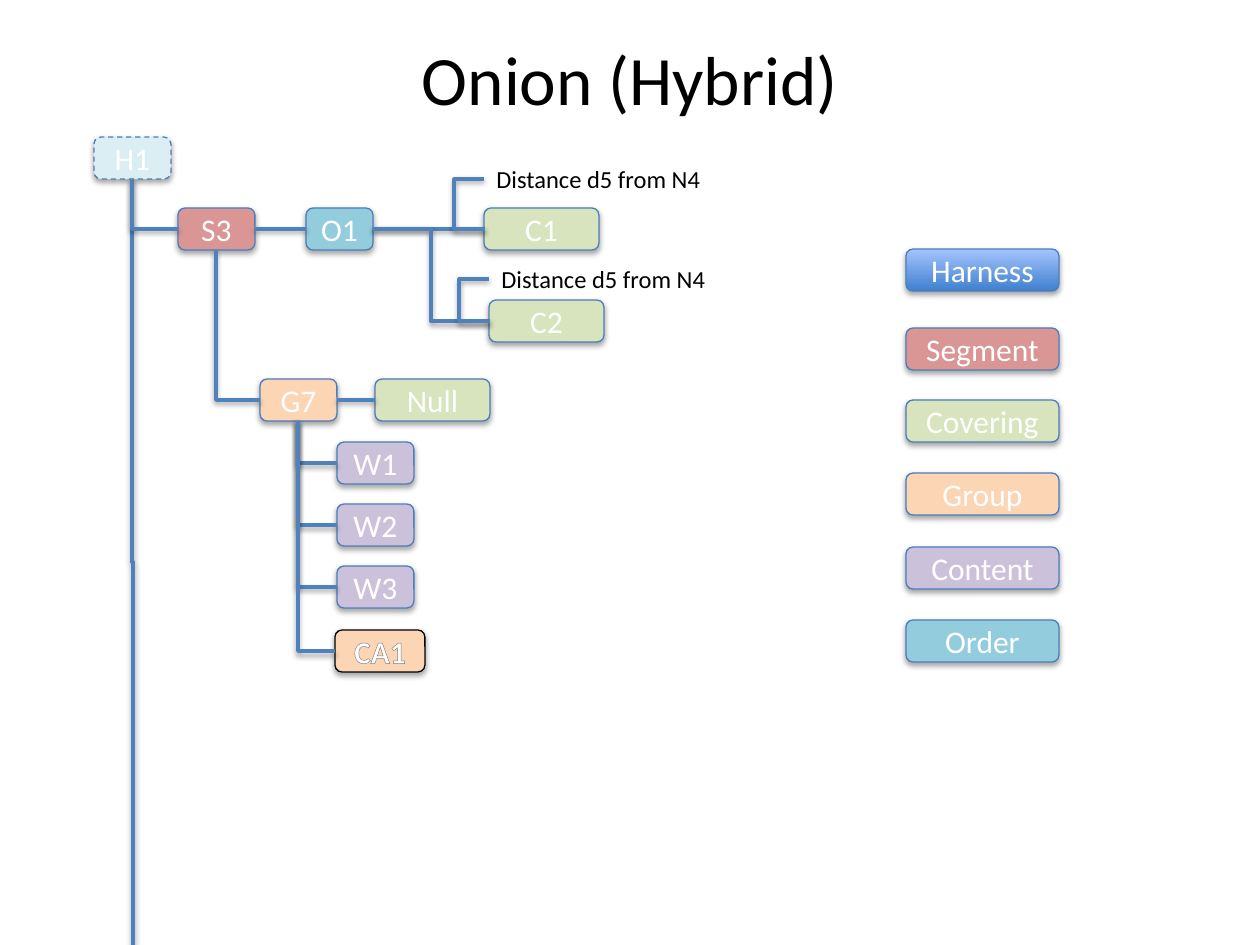
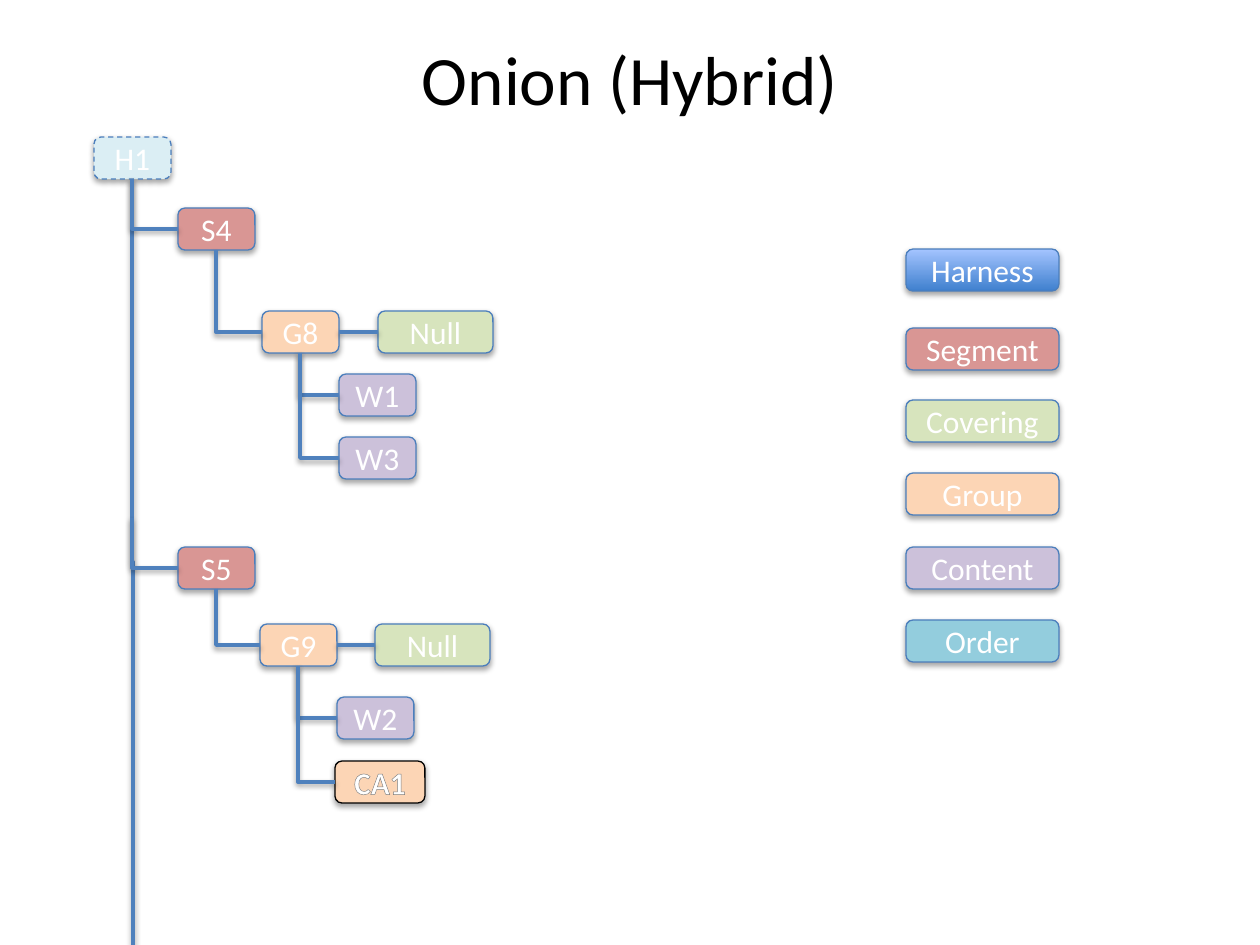
from lxml import etree
from pptx import Presentation, util as u
from pptx.dml.color import RGBColor
from pptx.enum import dml, shapes, text
from pptx.oxml.ns import qn

COLORS = {
    "black": "000000", "white": "FFFFFF", "outline": "4B7EBC", "connector": "4F81BD",
    "harness_low": "3F80CE", "harness_high": "A4C4FF", "root": "DBEEF4",
    "segment": "D99694", "covering": "D7E4BD", "group": "FCD5B5",
    "content": "CCC1DA", "order": "93CDDD", "cable": "FCD5B5",
    "glyph_edge": "7D7D7D", "glyph_shade": "7F7F7F",
}
FONT = "Calibri"
TITLE = "Onion (Hybrid)"

# label, kind, top
LEGEND = [
    ("Harness", "harness", 249), ("Segment", "segment", 328), ("Covering", "covering", 400),
    ("Group", "group", 473), ("Content", "content", 547), ("Order", "order", 620),
]
# label, kind, left, top, parent, route from the parent
SLIDES = [
    {
        "nodes": [
            ("H1", "root", 94, 137, None, None),
            ("S3", "segment", 178, 208, "H1", "trunk"),
            ("O1", "order", 306, 208, "S3", "across"),
            ("C1", "covering", 484, 208, "O1", "across"),
            ("C2", "covering", 489, 300, "O1", "across"),
            ("G7", "group", 260, 379, "S3", "down"),
            ("Null", "covering", 375, 379, "G7", "across"),
            ("W1", "content", 337, 442, "G7", "down"),
            ("W2", "content", 337, 504, "G7", "down"),
            ("W3", "content", 337, 566, "G7", "down"),
            ("CA1", "cable", 335, 630, "G7", "down"),
        ],
        # text, covering it belongs to, top
        "notes": [("Distance d5 from N4", "C1", 158), ("Distance d5 from N4", "C2", 258)],
    },
    {
        "nodes": [
            ("H1", "root", 94, 137, None, None),
            ("S4", "segment", 178, 208, "H1", "trunk"),
            ("G8", "group", 262, 311, "S4", "down"),
            ("Null", "covering", 378, 311, "G8", "across"),
            ("W1", "content", 339, 374, "G8", "down"),
            ("W3", "content", 339, 437, "G8", "down"),
            ("S5", "segment", 178, 547, "H1", "trunk"),
            ("G9", "group", 260, 624, "S5", "down"),
            ("Null", "covering", 375, 624, "G9", "across"),
            ("W2", "content", 337, 697, "G9", "down"),
            ("CA1", "cable", 335, 761, "G9", "down"),
        ],
        "notes": [],
    },
]

SLIDE_WIDTH, SLIDE_HEIGHT = 1260, 945
NODE_HEIGHT, NODE_WIDTH = 42, 77
SPECIAL_WIDTHS = {"covering": 115, "order": 67, "cable": 90}
LEGEND_LEFT, LEGEND_WIDTH = 906, 153
TRUNK_DROP = 29
NOTE_WIDTH, NOTE_HEIGHT, BRACKET_DEPTH = 229, 43, 30


def px(length):
    return u.Emu(round(length * 914400 / 126))


def rgb(name):
    return RGBColor.from_string(COLORS[name])


def add_xml(parent, tag, **attributes):
    return etree.SubElement(parent, qn(tag), {key: str(value) for key, value in attributes.items()})


def add_color(parent, name):
    return add_xml(parent, "a:srgbClr", val=COLORS[name])


def add_shadow(shape, distance, alpha):
    effects = add_xml(shape.element.spPr, "a:effectLst")
    shadow = add_xml(effects, "a:outerShdw", blurRad=40000, dist=distance, dir=5400000, rotWithShape=0)
    add_xml(add_color(shadow, "black"), "a:alpha", val=alpha)


def set_text(shape, words, size, color, align=text.PP_ALIGN.CENTER):
    paragraph = shape.text_frame.paragraphs[0]
    paragraph.text = words
    paragraph.alignment = align
    font = paragraph.font
    font.name, font.size, font.color.rgb = FONT, u.Pt(size), rgb(color)
    return paragraph


def emboss(run):
    """Give the run a grey outline and a shaded white fill."""
    run.font.bold = True
    properties = run.font._element
    line = add_xml(properties, "a:ln", w=10541)
    add_color(add_xml(line, "a:solidFill"), "glyph_edge")
    gradient = add_xml(properties, "a:gradFill")
    stops = add_xml(gradient, "a:gsLst")
    for position in (0, 9, 50, 79, 100):
        stop = add_xml(stops, "a:gs", pos=position * 1000)
        add_color(stop, "glyph_shade" if position == 50 else "white")
    add_xml(gradient, "a:lin", ang=5400000)


def add_box(slide, label, kind, left, top, width):
    shape = slide.shapes.add_shape(
        shapes.MSO_SHAPE.ROUNDED_RECTANGLE, px(left), px(top), px(width), px(NODE_HEIGHT))
    if kind == "harness":
        shape.fill.gradient()
        shape.fill.gradient_angle = 90
        for stop, color in zip(shape.fill.gradient_stops, ("harness_low", "harness_high")):
            stop.color.rgb = rgb(color)
    else:
        shape.fill.solid()
        shape.fill.fore_color.rgb = rgb(kind)
    shape.line.color.rgb = rgb("black" if kind == "cable" else "outline")
    shape.line.width = u.Pt(0.75)
    if kind == "root":
        shape.line.dash_style = dml.MSO_LINE.DASH
    add_shadow(shape, 23000, 35000)
    shape.text_frame.vertical_anchor = text.MSO_ANCHOR.MIDDLE
    paragraph = set_text(shape, label, 18, "white")
    if kind == "cable":
        emboss(paragraph.runs[0])


def add_elbow(slide, left, top, width, height):
    connector = slide.shapes.add_connector(
        shapes.MSO_CONNECTOR.ELBOW, px(left), px(top), px(left + width), px(top + height))
    connector.line.color.rgb = rgb("connector")
    connector.line.width = u.Pt(2)
    add_shadow(connector, 20000, 38000)
    return connector


def connect_down(slide, start, end, preset="bentConnector2"):
    """Leave start downwards: the elbow is mirrored and turned about its centre."""
    (x1, y1), (x2, y2) = start, end
    across, down = x2 - x1, y2 - y1
    connector = add_elbow(slide, (x1 + x2 - down) / 2, (y1 + y2 - across) / 2, down, across)
    properties = connector.element.spPr
    properties.xfrm.set("rot", "16200000")
    properties.xfrm.set("flipH", "1")
    properties.find(qn("a:prstGeom")).set("prst", preset)


def add_bracket(slide, left, top, bottom):
    """Loop out to the left from bottom and back in at top."""
    connector = add_elbow(slide, left, top, 1, bottom - top)
    properties = connector.element.spPr
    properties.xfrm.set("rot", "10800000")
    geometry = properties.find(qn("a:prstGeom"))
    for old in list(geometry):
        geometry.remove(old)
    guides = add_xml(geometry, "a:avLst")
    add_xml(guides, "a:gd", name="adj1", fmla=f"val {(BRACKET_DEPTH + 1) * 100000}")


def add_note(slide, words, left, top, covering_middle):
    box = slide.shapes.add_textbox(px(left), px(top), px(NOTE_WIDTH), px(NOTE_HEIGHT))
    box.text_frame.word_wrap = False
    set_text(box, words, 14, "black", text.PP_ALIGN.LEFT)
    add_bracket(slide, left, top + NOTE_HEIGHT // 2, covering_middle)


def add_tree(slide, nodes, notes):
    places = {}
    for label, kind, left, top, parent, route in nodes:
        width = SPECIAL_WIDTHS.get(kind, NODE_WIDTH)
        places[label] = (left, top, width)
        add_box(slide, label, kind, left, top, width)
        if parent is None:
            start = left + width // 2, top + NODE_HEIGHT
            connect_down(slide, start, (start[0] + 1, SLIDE_HEIGHT), "bentConnector3")
            continue
        parent_left, parent_top, parent_width = places[parent]
        middle = top + NODE_HEIGHT // 2
        if route == "across":
            x, y = parent_left + parent_width, parent_top + NODE_HEIGHT // 2
            add_elbow(slide, x, y, left - x, middle - y)
        else:
            y = top - TRUNK_DROP if route == "trunk" else parent_top + NODE_HEIGHT
            connect_down(slide, (parent_left + parent_width // 2, y), (left, middle))
    for words, covering, top in notes:
        left, covering_top, _ = places[covering]
        add_note(slide, words, left, top, covering_top + NODE_HEIGHT // 2)


def add_title(slide):
    title = slide.shapes.title
    title.left, title.top, title.width, title.height = px(63), px(38), px(1134), px(79)
    title.text_frame.vertical_anchor = text.MSO_ANCHOR.MIDDLE
    set_text(title, TITLE, 39.6, "black")


def main():
    presentation = Presentation()
    presentation.slide_width, presentation.slide_height = px(SLIDE_WIDTH), px(SLIDE_HEIGHT)
    for content in SLIDES:
        slide = presentation.slides.add_slide(presentation.slide_layouts[5])
        add_title(slide)
        for label, kind, top in LEGEND:
            add_box(slide, label, kind, LEGEND_LEFT, top, LEGEND_WIDTH)
        add_tree(slide, content["nodes"], content["notes"])
    presentation.save("out.pptx")


if __name__ == "__main__":
    main()
